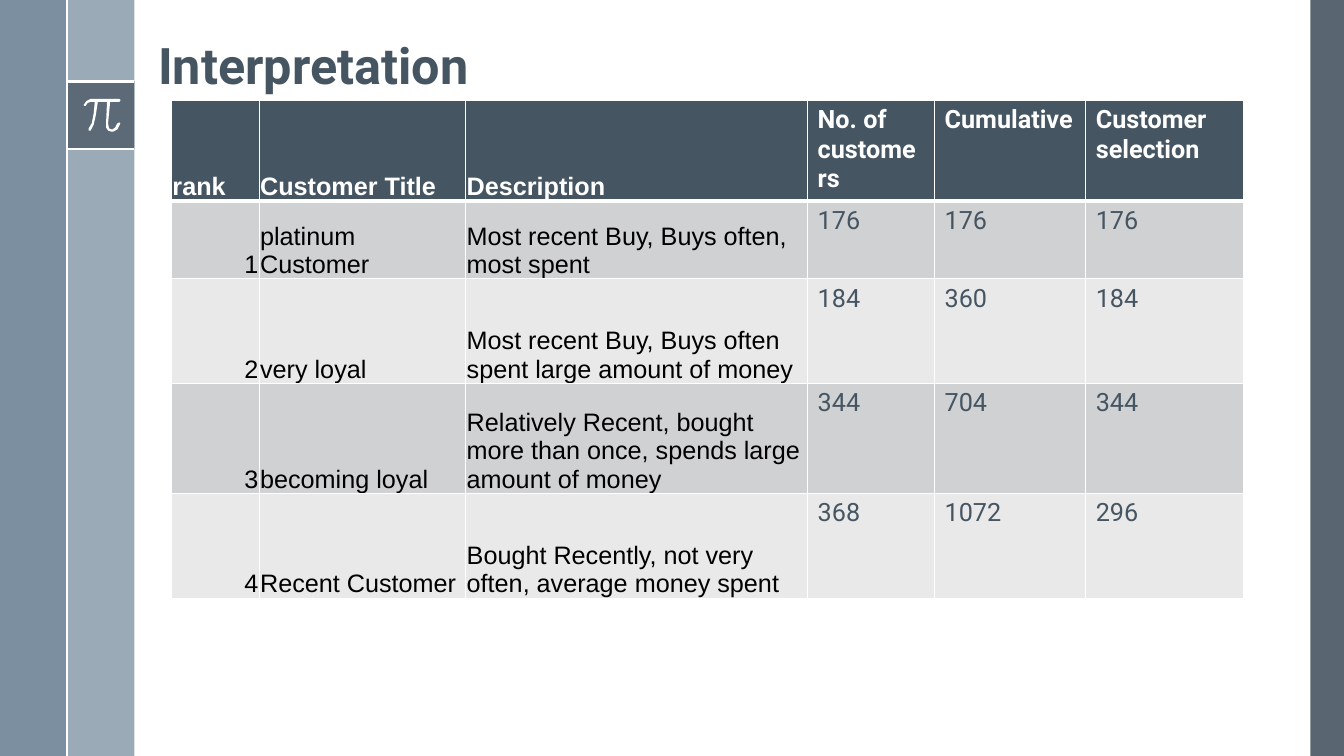
from lxml import etree
from pptx import Presentation
from pptx.dml.color import RGBColor
from pptx.enum.shapes import MSO_CONNECTOR, MSO_SHAPE
from pptx.enum.text import MSO_ANCHOR, PP_ALIGN
from pptx.oxml.ns import qn
from pptx.util import Pt

RECT = MSO_SHAPE.RECTANGLE
LINE = MSO_CONNECTOR.STRAIGHT
TOP, BOTTOM = MSO_ANCHOR.TOP, MSO_ANCHOR.BOTTOM
LEFT, RIGHT = PP_ALIGN.LEFT, PP_ALIGN.RIGHT

WIDE, HIGH = 960, 540
BAR = 48
COLORS = {
    "slate": "475562", "steel": "6A8093", "mist": "9BAAB7",
    "ink": "465562", "dark": "CFD1D3", "light": "E9E9EA",
    "white": "FFFFFF", "black": "000000",
}
PI = [(35, 0), (7, 0), (3, 2), (0, 6), (1, 7), (2, 7), (4, 4), (7, 3),
      (11, 3), (10, 14), (8, 24), (5, 29), (5, 31), (6, 31), (7, 31),
      (10, 25), (12, 16), (14, 3), (23, 3), (22, 24), (22, 28), (24, 31),
      (27, 32), (29, 32), (33, 30), (36, 24), (35, 23), (33, 24), (31, 28),
      (28, 30), (25, 29), (24, 24), (26, 3), (35, 3), (36, 2), (36, 1)]
COLS = [62.6, 147.6, 244.1, 90.7, 108, 113]
ROWS = [46.8, 55.4, 74.9, 78.5, 74.9]
DATA = [
    ("rank", "Customer Title", "Description", "No. of customers",
     "Cumulative", "Customer selection"),
    ("1", "platinum Customer", "Most recent Buy, Buys often, most spent",
     "176", "176", "176"),
    ("2", "very loyal",
     "Most recent Buy, Buys often spent large amount of money",
     "184", "360", "184"),
    ("3", "becoming loyal",
     "Relatively Recent, bought more than once, spends large amount of money",
     "344", "704", "344"),
    ("4", "Recent Customer",
     "Bought Recently, not very often, average money spent",
     "368", "1072", "296"),
]


def rgb(name):
    return RGBColor.from_string(COLORS[name])


def paint(shape, color, alpha=100):
    """Fill a shape, without line or shadow; alpha is in percent."""
    shape.shadow.inherit = False
    shape.line.fill.background()
    shape.fill.solid()
    shape.fill.fore_color.rgb = rgb(color)
    if alpha < 100:
        tint = shape.fill._xPr.find(".//" + qn("a:srgbClr"))
        etree.SubElement(tint, qn("a:alpha"), val=str(alpha * 1000))


def block(slide, x, y, w, h, color, alpha=100):
    box = slide.shapes.add_shape(RECT, Pt(x), Pt(y), Pt(w), Pt(h))
    paint(box, color, alpha)


def rule(slide, x1, y1, x2, y2):
    line = slide.shapes.add_connector(LINE, Pt(x1), Pt(y1), Pt(x2), Pt(y2))
    line.line.color.rgb = rgb("white")
    line.line.width = Pt(1.5)
    etree.SubElement(line._element.spPr, qn("a:effectLst"))


def write(frame, text, size, font, color, bold, align=LEFT):
    para = frame.paragraphs[0]
    para.alignment = align
    run = para.add_run()
    run.text = text
    run.font.size = Pt(size)
    run.font.name = font
    run.font.bold = bold
    run.font.color.rgb = rgb(color)
    return para


def draw_pi(slide, x, y, w):
    unit = Pt(w) / 36
    pen = slide.shapes.build_freeform(*PI[0], scale=unit)
    pen.add_line_segments(PI[1:], close=True)
    paint(pen.convert_to_shape(Pt(x), Pt(y)), "white")


def draw_side(slide, x, y, w, h):
    """Two bars with the symbol tile on the right one."""
    mid = x + w / 2
    tile = y + 58.2
    base = tile + BAR
    block(slide, mid, y, w / 2, h, "mist")
    block(slide, x, y, w / 2, h, "steel", 88)
    block(slide, mid, tile, w / 2, BAR, "slate", 75)
    for edge in (tile, base):
        rule(slide, mid, edge, x + w, edge)
    draw_pi(slide, mid + 11.7, tile + 12.4, 26.3)
    rule(slide, mid, y, mid, y + h)


def draw_title(slide, x, y, w, h):
    box = slide.shapes.add_textbox(Pt(x), Pt(y), Pt(w), Pt(h))
    frame = box.text_frame
    frame.word_wrap = True
    frame.vertical_anchor = BOTTOM
    para = write(frame, "Interpretation", 36, "Roboto", "ink", True)
    para.line_spacing = 0.9


def edge_cell(cell, head):
    """White borders, thicker where the head row meets the body."""
    props = cell._tc.get_or_add_tcPr()
    for side in "LRTB":
        width = Pt(3) if head and side == "B" else Pt(1)
        line = etree.SubElement(props, qn("a:ln" + side), w=str(width))
        fill = etree.SubElement(line, qn("a:solidFill"))
        etree.SubElement(fill, qn("a:srgbClr"), val=COLORS["white"])


def fill_cell(cell, text, row, col):
    head, words = row == 0, col < 3
    edge_cell(cell, head)
    cell.fill.solid()
    shade = "ink" if head else ("dark" if row % 2 else "light")
    cell.fill.fore_color.rgb = rgb(shade)
    cell.vertical_anchor = BOTTOM if words else TOP
    if words:
        cell.margin_left = cell.margin_right = cell.margin_top = Pt(0.6)
        cell.margin_bottom = 0
    color = "white" if head else ("black" if words else "ink")
    align = RIGHT if col == 0 and not head else LEFT
    write(cell.text_frame, text, 18, "Arial" if words else "Roboto",
          color, head, align)


def draw_table(slide, x, y, w, h):
    table = slide.shapes.add_table(
        len(ROWS), len(COLS), Pt(x), Pt(y), Pt(w), Pt(h)).table
    for col, width in zip(table.columns, COLS):
        col.width = Pt(width)
    for row, height in zip(table.rows, ROWS):
        row.height = Pt(height)
    for r, texts in enumerate(DATA):
        for c, text in enumerate(texts):
            fill_cell(table.cell(r, c), text, r, c)


def main():
    deck = Presentation()
    deck.slide_width, deck.slide_height = Pt(WIDE), Pt(HIGH)
    slide = deck.slides.add_slide(deck.slide_layouts[6])
    block(slide, WIDE - BAR / 2, 0, BAR / 2, HIGH, "slate", 90)
    draw_side(slide, 0, 0, 2 * BAR, HIGH)
    draw_title(slide, 106, 9.4, 595.4, 62.6)
    draw_table(slide, 122.6, 71.6, sum(COLS), sum(ROWS))
    deck.save("out.pptx")


if __name__ == "__main__":
    main()
